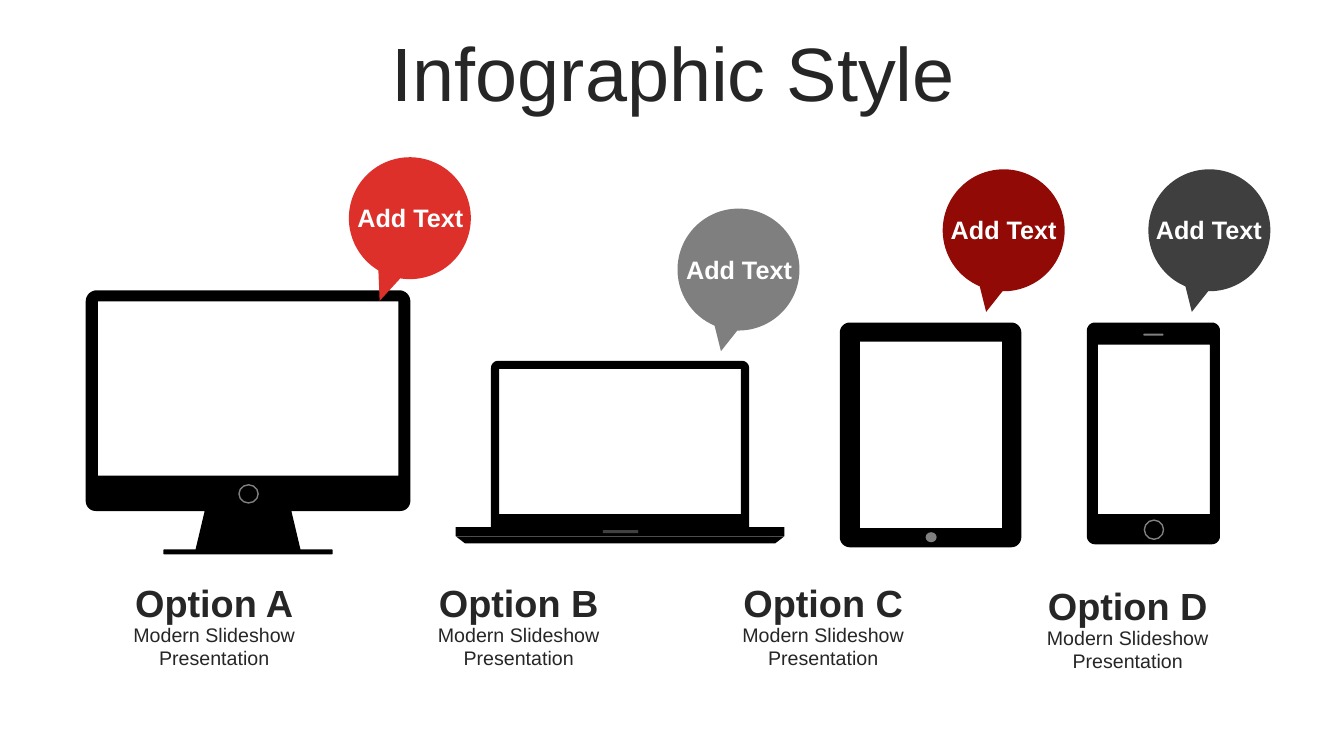
from math import cos, hypot, pi, sin

from pptx import Presentation
from pptx.dml.color import RGBColor
from pptx.enum.shapes import MSO_SHAPE
from pptx.enum.text import MSO_ANCHOR, MSO_AUTO_SIZE, PP_ALIGN
from pptx.util import Inches, Pt

COLORS = {
    "black": "000000", "text": "262626", "white": "FFFFFF",
    "speaker": "404040", "button": "808080",
    "red": "DE302A", "grey": "7F7F7F", "maroon": "920A06", "charcoal": "3F3F3F",
}
TITLE = {"size": Pt(54), "bold": False}
BUBBLE = {"size": Pt(18), "bold": True}
OPTION = {"size": Pt(27), "bold": True}
DETAIL = {"size": Pt(14), "bold": False}
BUBBLE_SIZE = 1.21
ARC_STEPS = 8


def rgb(name):
    return RGBColor.from_string(COLORS[name])


def paint(sp, fill, line=None):
    sp.shadow.inherit = False
    if fill:
        sp.fill.solid()
        sp.fill.fore_color.rgb = rgb(fill)
    else:
        sp.fill.background()
    if line:
        sp.line.color.rgb = rgb(line)
        sp.line.width = Pt(1)
    else:
        sp.line.fill.background()


def add_preset(s, kind, box, fill, line=None, adj=(), rotation=0):
    sp = s.shapes.add_shape(kind, *map(Inches, box))
    for i, value in enumerate(adj):
        sp.adjustments[i] = value
    sp.rotation = rotation
    paint(sp, fill, line)
    return sp


def write(tf, text, style, color):
    tf.word_wrap = True
    p = tf.paragraphs[0]
    p.alignment = PP_ALIGN.CENTER
    r = p.add_run()
    r.text = text
    r.font.name = "Arial"
    r.font.color.rgb = rgb(color)
    for name, value in style.items():
        setattr(r.font, name, value)
    return p


def add_text(s, box, text, style, color):
    tf = s.shapes.add_textbox(*map(Inches, box)).text_frame
    write(tf, text, style, color)
    tf.auto_size = MSO_AUTO_SIZE.SHAPE_TO_FIT_TEXT


def rectangle(left, top, right, bottom, top_radius=0, bottom_radius=0):
    return [(left, top, top_radius), (right, top, top_radius),
            (right, bottom, bottom_radius), (left, bottom, bottom_radius)]


def round_corners(corners):
    """Turn (x, y, radius) corners into points, with arcs where radius > 0."""
    points = []
    for i, (x, y, radius) in enumerate(corners):
        if not radius:
            points.append((x, y))
            continue
        directions = []
        for nx, ny, _ in (corners[i - 1], corners[(i + 1) % len(corners)]):
            length = hypot(nx - x, ny - y)
            directions.append(((nx - x) / length, (ny - y) / length))
        (ax, ay), (bx, by) = directions
        for step in range(ARC_STEPS + 1):
            angle = pi / 2 * step / ARC_STEPS
            a, b = radius * (1 - sin(angle)), radius * (1 - cos(angle))
            points.append((x + a * ax + b * bx, y + a * ay + b * by))
    return [(Inches(x), Inches(y)) for x, y in points]


def add_frame(s, outline, screen):
    """Draw a device body with an open screen."""
    body, hole = round_corners(outline), round_corners(rectangle(*screen)[::-1])
    builder = s.shapes.build_freeform(*body[0], scale=1.0)
    builder.add_line_segments(body[1:], close=True)
    builder.move_to(*hole[0])
    builder.add_line_segments(hole[1:], close=True)
    paint(builder.convert_to_shape(), "black")


def add_monitor(s):
    stand = [(2.89, 5.07, 0), (2.98, 5.45, 0), (3.3, 5.45, 0.01), (3.3, 5.5, 0.01),
             (1.62, 5.5, 0.01), (1.62, 5.45, 0.01), (1.94, 5.45, 0), (2.03, 5.07, 0)]
    case = rectangle(0.85, 2.88, 4.07, 5.07, 0.11, 0.1)
    add_frame(s, case[:3] + stand + case[3:], (0.97, 2.99, 3.95, 4.72))
    add_preset(s, MSO_SHAPE.OVAL, (2.37, 4.81, 0.19, 0.18), "black", "button")


def add_laptop(s):
    add_frame(s, rectangle(4.87, 3.58, 7.43, 5.23, 0.07), (4.95, 3.66, 7.35, 5.1))
    add_preset(s, MSO_SHAPE.RECTANGLE, (4.52, 5.23, 3.26, 0.09), "black")
    add_preset(s, MSO_SHAPE.TRAPEZOID, (4.52, 5.32, 3.26, 0.07), "black",
               adj=(1.3,), rotation=180)
    add_preset(s, MSO_SHAPE.RECTANGLE, (5.98, 5.26, 0.35, 0.03), "speaker")


def add_tablet(s):
    add_frame(s, rectangle(8.33, 3.2, 10.13, 5.43, 0.1, 0.1), (8.53, 3.39, 9.94, 5.24))
    add_preset(s, MSO_SHAPE.OVAL, (9.18, 5.28, 0.11, 0.1), "button")


def add_phone(s):
    add_frame(s, rectangle(10.78, 3.2, 12.1, 5.4, 0.08, 0.08), (10.89, 3.42, 12, 5.1))
    add_preset(s, MSO_SHAPE.ROUNDED_RECTANGLE, (11.34, 3.31, 0.2, 0.02), "button",
               adj=(0.5,))
    add_preset(s, MSO_SHAPE.OVAL, (11.35, 5.16, 0.19, 0.19), None, "button")


def add_bubble(s, left, top, color, text_left, text_width, tail=(0.226, 0.646)):
    add_preset(s, MSO_SHAPE.OVAL_CALLOUT, (left, top, BUBBLE_SIZE, BUBBLE_SIZE),
               color, adj=tail, rotation=31.4)
    add_text(s, (text_left, top + 0.4, text_width, 0.4), "Add Text", BUBBLE, "white")


def add_option(s, left, top, name):
    add_text(s, (left, top, 2.17, 0.56), name, OPTION, "text")
    add_text(s, (left, top + 0.43, 2.17, 0.57), "Modern Slideshow Presentation",
             DETAIL, "text")


def set_title(s, text):
    title = s.shapes.title
    title.left, title.top, title.width, title.height = map(
        Inches, (0.35, 0.37, 12.66, 0.79))
    tf = title.text_frame
    tf.vertical_anchor = MSO_ANCHOR.MIDDLE
    tf.auto_size = MSO_AUTO_SIZE.NONE
    p = write(tf, text, TITLE, "text")
    p.line_spacing = 0.9


def main():
    prs = Presentation()
    prs.slide_width, prs.slide_height = Inches(13.33), Inches(7.5)
    s = prs.slides.add_slide(prs.slide_layouts[5])
    set_title(s, "Infographic Style")

    for add_device in (add_laptop, add_phone, add_monitor, add_tablet):
        add_device(s)

    add_bubble(s, 3.46, 1.56, "red", 3.4, 1.34, tail=(0.142, 0.707))
    add_bubble(s, 6.72, 2.07, "grey", 6.67, 1.32)
    add_bubble(s, 9.35, 1.68, "maroon", 9.25, 1.41)
    add_bubble(s, 11.39, 1.68, "charcoal", 11.16, 1.66)

    for i, (letter, top) in enumerate(zip("ABCD", (5.7, 5.7, 5.7, 5.73))):
        add_option(s, 1.04 + 3.02 * i, top, f"Option {letter}")

    prs.save("out.pptx")


if __name__ == "__main__":
    main()
